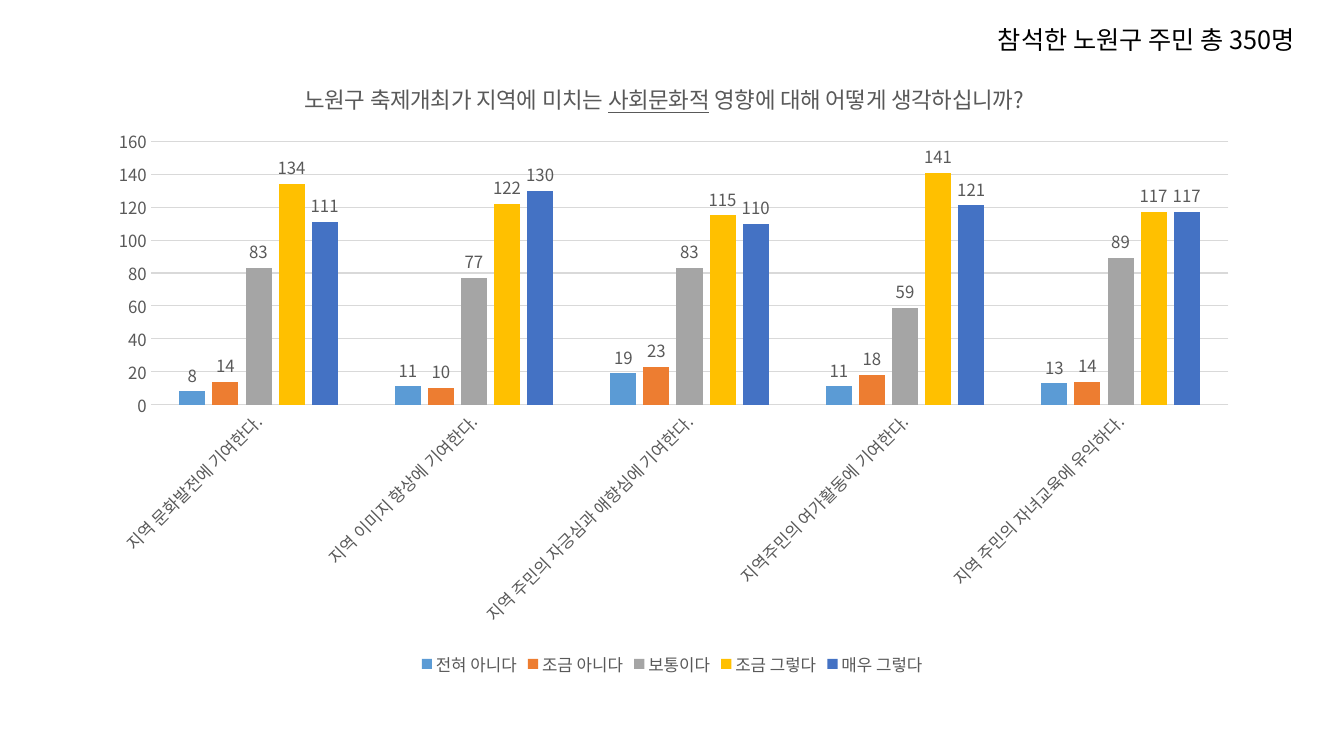
from dataclasses import dataclass
from pptx import Presentation
from pptx.chart.data import CategoryChartData
from pptx.dml.color import RGBColor
from pptx.enum.chart import (XL_CHART_TYPE, XL_LABEL_POSITION,
                             XL_LEGEND_POSITION, XL_TICK_MARK)
from pptx.enum.text import MSO_AUTO_SIZE, PP_ALIGN
from pptx.oxml import parse_xml
from pptx.oxml.ns import nsdecls, qn
from pptx.util import Cm, Pt

ATTENDANCE = "참석한 노원구 주민 총 350명"
QUESTION = [  # text, underlined
    ("노원구 축제개최가 지역에 미치는 ", False),
    ("사회문화적", True),
    (" 영향에 대해 어떻게 생각하십니까?", False),
]
STATEMENTS = [
    "지역 문화발전에 기여한다.",
    "지역 이미지 향상에 기여한다.",
    "지역 주민의 자긍심과 애향심에 기여한다.",
    "지역주민의 여가활동에 기여한다.",
    "지역 주민의 자녀교육에 유익하다.",
]
ANSWERS = [  # answer, colour, respondents per statement
    ("전혀 아니다", "5B9BD5", (8, 11, 19, 11, 13)),
    ("조금 아니다", "ED7D31", (14, 10, 23, 18, 14)),
    ("보통이다", "A5A5A5", (83, 77, 83, 59, 89)),
    ("조금 그렇다", "FFC000", (134, 122, 115, 141, 117)),
    ("매우 그렇다", "4472C4", (111, 130, 110, 121, 117)),
]


@dataclass(frozen=True)
class Theme:
    """Font, colours and type sizes of the slide."""
    font: str = "Noto Sans CJK KR"
    ink: str = "000000"
    muted: str = "595959"
    rule: str = "D9D9D9"
    heading: int = 18
    question: int = 16
    label: int = 12


THEME = Theme()


def style_font(font, size, colour):
    """Give a font its face, size and colour."""
    font.name, font.size, font.bold = THEME.font, Pt(size), False
    font.color.rgb = RGBColor.from_string(colour)


def style_rule(line):
    """Make a line thin and pale grey."""
    line.color.rgb = RGBColor.from_string(THEME.rule)
    line.width = Pt(0.75)


def set_hangul_font(element):
    """Use the theme font for Korean letters wherever it is set for Latin ones."""
    for latin in list(element.iter(qn("a:latin"))):
        latin.addnext(parse_xml(f'<a:ea {nsdecls("a")} typeface="{THEME.font}"/>'))


def place(element, index, target="", **fractions):
    """Fix a chart part at fractions of the chart's size."""
    for layout in element.findall(qn("c:layout")):
        element.remove(layout)
    inner = f'<c:layoutTarget val="{target}"/>' if target else ""
    modes = "".join(f'<c:{side}Mode val="edge"/>' for side in "xy")
    sizes = "".join(f'<c:{key} val="{value}"/>' for key, value in fractions.items())
    element.insert(index, parse_xml(
        f'<c:layout {nsdecls("c")}><c:manualLayout>{inner}{modes}{sizes}'
        '</c:manualLayout></c:layout>'))


def add_attendance(page):
    """Write the number of attendees at the top right."""
    box = page.shapes.add_textbox(Cm(24.9), Cm(0.5), Cm(8.9), Cm(1.03))
    frame = box.text_frame
    frame.word_wrap = False
    frame.auto_size = MSO_AUTO_SIZE.SHAPE_TO_FIT_TEXT
    para = frame.paragraphs[0]
    para.alignment = PP_ALIGN.LEFT
    span = para.add_run()
    span.text = ATTENDANCE
    style_font(span.font, THEME.heading, THEME.ink)
    set_hangul_font(box.element)


def add_question(chart):
    """Write the survey question as the chart title."""
    para = chart.chart_title.text_frame.paragraphs[0]
    for text, underlined in QUESTION:
        span = para.add_run()
        span.text = text
        style_font(span.font, THEME.question, THEME.muted)
        span.font.underline = underlined


def style_axes(chart):
    """Style both axes and the grid, and slant the statements."""
    for axis in (chart.category_axis, chart.value_axis):
        axis.major_tick_mark = axis.minor_tick_mark = XL_TICK_MARK.NONE
        style_font(axis.tick_labels.font, THEME.label, THEME.muted)
    style_rule(chart.category_axis.format.line)
    statements = next(chart.element.iter(qn("c:catAx")))
    slant = next(statements.iter(qn("a:bodyPr")))
    slant.set("rot", "-2700000")
    slant.set("vert", "horz")
    values = chart.value_axis
    values.minimum_scale, values.maximum_scale, values.major_unit = 0, 160, 20
    values.format.line.fill.background()
    style_rule(values.major_gridlines.format.line)


def add_survey(page):
    """Chart the answers to each statement."""
    data = CategoryChartData()
    data.categories = STATEMENTS
    for answer, _, counts in ANSWERS:
        data.add_series(answer, counts)
    chart = page.shapes.add_chart(
        XL_CHART_TYPE.COLUMN_CLUSTERED,
        Cm(2.34), Cm(1.35), Cm(29.2), Cm(15.8), data).chart
    style_font(chart.font, 10, THEME.ink)
    add_question(chart)
    style_axes(chart)

    plot = chart.plots[0]
    plot.vary_by_categories = False
    plot.gap_width, plot.overlap = 219, -27
    for series, (_, colour, _) in zip(plot.series, ANSWERS):
        series.format.fill.solid()
        series.format.fill.fore_color.rgb = RGBColor.from_string(colour)
        series.invert_if_negative = False
        labels = series.data_labels
        labels.show_value = True
        labels.position = XL_LABEL_POSITION.OUTSIDE_END
        style_font(labels.font, THEME.label, THEME.muted)

    chart.has_legend = True
    chart.legend.position = XL_LEGEND_POSITION.BOTTOM
    chart.legend.include_in_layout = False
    style_font(chart.legend.font, THEME.label, THEME.muted)

    root = chart.element
    place(next(root.iter(qn("c:title"))), 1, x=0.18, y=0.04)
    place(next(root.iter(qn("c:plotArea"))), 0, "inner",
          x=0.05, y=0.14, w=0.93, h=0.42)
    set_hangul_font(root)


deck = Presentation()
deck.slide_width, deck.slide_height = Cm(33.87), Cm(19.05)
page = deck.slides.add_slide(deck.slide_layouts[6])
add_survey(page)
add_attendance(page)
deck.save("out.pptx")
